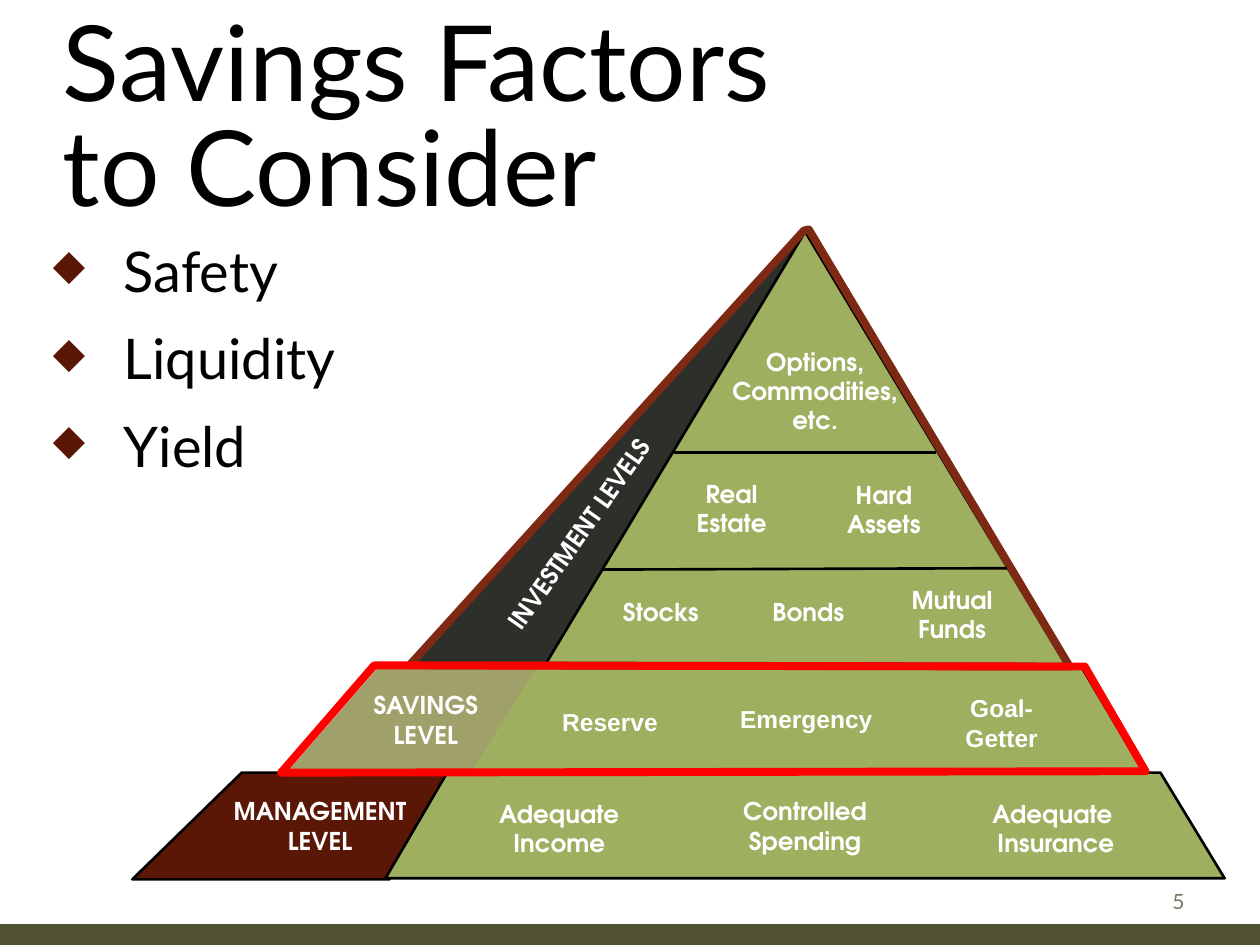
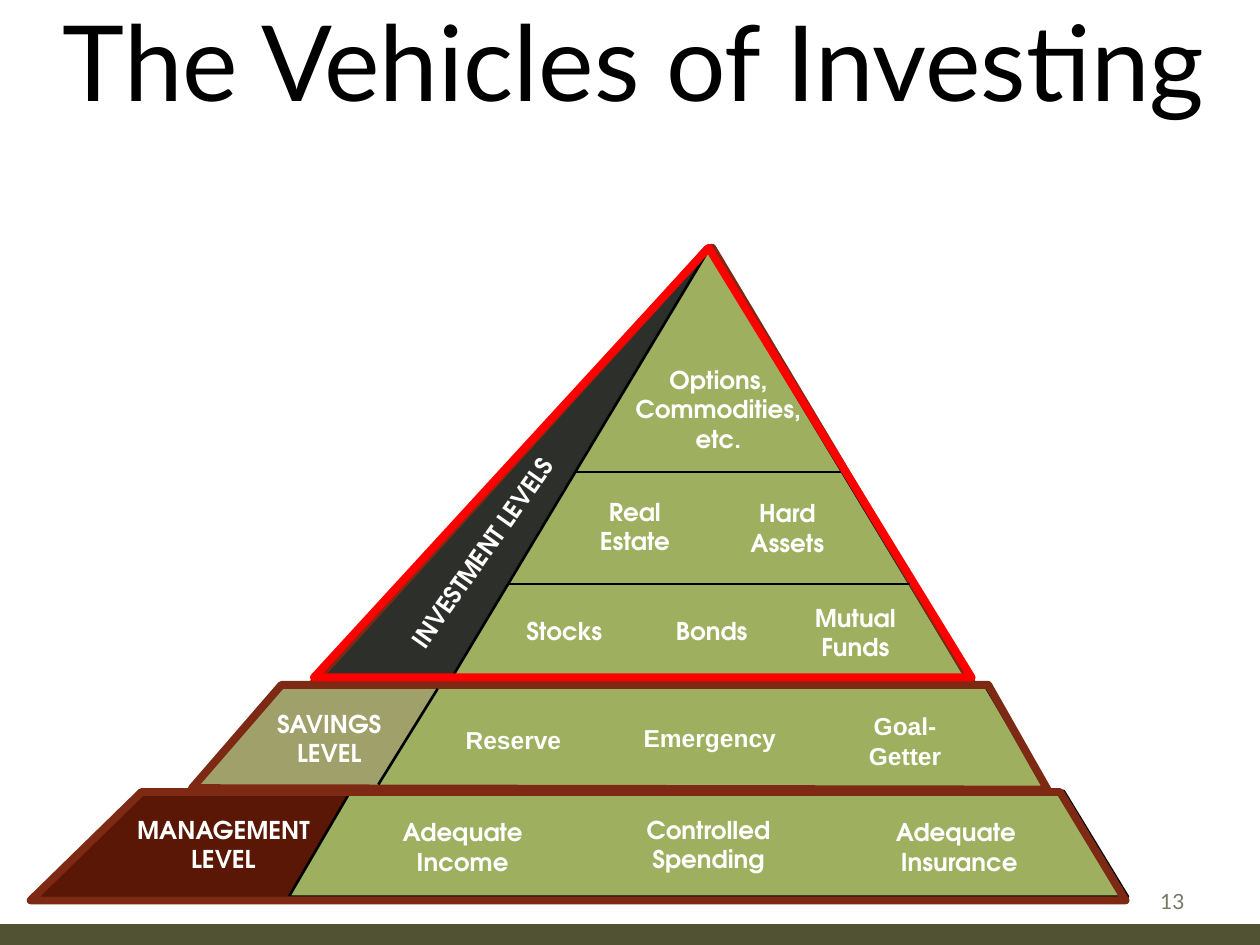
import pptx
import pptx.dml.color
import pptx.enum.shapes
import pptx.enum.text
import pptx.oxml.ns
import pptx.util
from lxml import etree

Pt = pptx.util.Pt
RGBColor = pptx.dml.color.RGBColor
Align = pptx.enum.text.PP_ALIGN

BLACK = RGBColor(0x00, 0x00, 0x00)
WHITE = RGBColor(0xFF, 0xFF, 0xFF)
RED = RGBColor(0xFF, 0x00, 0x00)
RUST = RGBColor(0x7E, 0x29, 0x13)
MAROON = RGBColor(0x5A, 0x17, 0x05)
CHARCOAL = RGBColor(0x2D, 0x2F, 0x2B)
LEAF = RGBColor(0x9E, 0xB0, 0x60)
KHAKI = RGBColor(0xA0, 0xA1, 0x6A)
OLIVE = RGBColor(0x51, 0x52, 0x34)
GREY_GREEN = RGBColor(0x78, 0x78, 0x63)

BODY_FONT = "Lato"
LEVEL_FONT = "TeX Gyre Adventor"
SAVINGS_FONT = "Arial"

SLIDE_WIDTH, SLIDE_HEIGHT = 720, 540
TITLE_BOX = (36, 10, 684, 111.6)
FACTORS_BOX = (30.2, 135.4, 659.5, 346.3)
NUMBER_BOX = (516.2, 500.4, 167.8, 28.8)
BAND_Y, BAND_WIDTH = 534.2, 12
HIGHLIGHT_WIDTH = 4.5
LABEL_SIZE, LABEL_LINE, LABEL_INSETS = 14, 17, 7.2

# All pyramid coordinates are points from its left edge and its apex height.
MANAGEMENT_FACE = [(62.6, 309), (183.6, 309), (147, 370), (0, 370)]
FRONT_FACE = [(144.7, 369.4), (180, 309), (190, 309), (226.8, 248.4),
              (235.4, 248.4), (384.5, 0), (534.2, 248.4), (542.2, 248.4),
              (578.2, 309), (587.5, 309), (624.2, 369.4)]
SAVINGS_FACE = [(140.4, 249), (231, 249), (193, 309.6), (87.8, 309.6)]
INVESTMENT_FACE = [(226, 0), (229, 0), (81.4, 249), (0, 249)]
INVESTMENT_OUTLINE = [(158.4, 247.7), (535.7, 248.4), (386.6, -1.4), (383.8, -0.7)]

# Label width -> (text, centre, top, font)
LABELS = {
    119.5: [
        ("Options, Commodities, etc.", 390.2, 62, LEVEL_FONT),
        ("Controlled Spending", 384.5, 319, LEVEL_FONT),
        ("Adequate\nIncome", 244, 320.4, LEVEL_FONT),
        ("Adequate \nInsurance", 527.8, 320.4, LEVEL_FONT),
        ("Goal-\nGetter", 496.8, 260, SAVINGS_FONT),
        ("Emergency", 385.2, 266.4, SAVINGS_FONT),
        ("Reserve", 273, 267.8, SAVINGS_FONT),
        ("SAVINGS\nLEVEL", 167.8, 258.5, LEVEL_FONT),
        ("MANAGEMENT\nLEVEL", 107.3, 319, LEVEL_FONT),
    ],
    97.2: [
        ("Stocks", 302, 205.2, LEVEL_FONT),
        ("Bonds", 386.3, 205.2, LEVEL_FONT),
        ("Mutual\nFunds", 468.4, 198, LEVEL_FONT),
        ("Real\nEstate", 342.4, 137.5, LEVEL_FONT),
        ("Hard\nAssets", 429.5, 138.2, LEVEL_FONT),
    ],
}


def add_text_frame(slide, box, inset=True):
    textbox = slide.shapes.add_textbox(*(Pt(v) for v in box))
    frame = textbox.text_frame
    frame.word_wrap = True
    if not inset:
        frame.margin_left = frame.margin_top = 0
        frame.margin_right = frame.margin_bottom = 0
    return textbox, frame


def add_run(paragraph, text, size, font, color, bold=False):
    run = paragraph.add_run()
    run.text = text
    run.font.size = Pt(size)
    run.font.name = font
    run.font.color.rgb = color
    run.font.bold = bold


def add_line(slide, start, end, color=BLACK, width=1.5):
    line = slide.shapes.add_connector(
        pptx.enum.shapes.MSO_CONNECTOR.STRAIGHT,
        *(Pt(v) for v in (*start, *end)))
    line.line.color.rgb = color
    line.line.width = Pt(width)
    etree.SubElement(line._element.spPr, pptx.oxml.ns.qn("a:effectLst"))


def style_shape(shape, fill, line, width):
    shape.shadow.inherit = False
    if fill is None:
        shape.fill.background()
    else:
        shape.fill.solid()
        shape.fill.fore_color.rgb = fill
    if line is None:
        shape.line.fill.background()
    else:
        shape.line.color.rgb = line
        shape.line.width = Pt(width)


def add_polygon(slide, origin, points, fill=None, line=None, width=1.5):
    start, *rest = [(Pt(x), Pt(y)) for x, y in points]
    builder = slide.shapes.build_freeform(*start)
    builder.add_line_segments(rest, close=True)
    polygon = builder.convert_to_shape(*(Pt(v) for v in origin))
    style_shape(polygon, fill, line, width)


def add_highlight(slide, origin, points, color):
    add_polygon(slide, origin, points, line=color, width=HIGHLIGHT_WIDTH)


def add_label(slide, box, text, font, rotation=0):
    label, frame = add_text_frame(slide, box)
    label.rotation = rotation
    frame.auto_size = pptx.enum.text.MSO_AUTO_SIZE.SHAPE_TO_FIT_TEXT
    for index, part in enumerate(text.split("\n")):
        paragraph = frame.add_paragraph() if index else frame.paragraphs[0]
        paragraph.alignment = Align.CENTER
        add_run(paragraph, part, LABEL_SIZE, font, WHITE, bold=True)


def add_pyramid(slide, origin, investment_corner):
    """Faces, labels and the investment outline; investment_corner places the dark face."""
    left, top = origin
    dark_x, dark_y = investment_corner
    dark_face = [(x + dark_x, y + dark_y) for x, y in INVESTMENT_FACE]
    add_polygon(slide, origin, dark_face, CHARCOAL)
    add_polygon(slide, origin, MANAGEMENT_FACE, MAROON, BLACK)
    add_polygon(slide, origin, FRONT_FACE, LEAF, BLACK)
    add_polygon(slide, origin, SAVINGS_FACE, KHAKI)
    for width, labels in LABELS.items():
        for text, centre, label_top, font in labels:
            height = LABEL_INSETS + LABEL_LINE * len(text.split())
            add_label(slide, (left + centre - width / 2, top + label_top, width, height),
                      text, font)
    add_label(slide, (left + 164.9, top + 160.6, 180.7, LABEL_INSETS + LABEL_LINE),
              "INVESTMENT LEVELS", LEVEL_FONT, rotation=305.2)
    add_highlight(slide, origin, INVESTMENT_OUTLINE, RUST)


def add_divider(slide, origin, start, end, width=1.5):
    left, top = origin
    add_line(slide, (left + start[0], top + start[1]),
             (left + end[0], top + end[1]), width=width)


def add_base(deck, title_lines, number):
    """A blank slide with the shared band, title and page number."""
    slide = deck.slides.add_slide(deck.slide_layouts[6])
    add_line(slide, (0, BAND_Y), (SLIDE_WIDTH, BAND_Y), OLIVE, BAND_WIDTH)

    _, title = add_text_frame(slide, TITLE_BOX, inset=False)
    heading = title.paragraphs[0]
    heading.line_spacing = Pt(60)
    for index, line in enumerate(title_lines):
        if index:
            heading.add_line_break()
        add_run(heading, line, 60, BODY_FONT, BLACK)

    _, page = add_text_frame(slide, NUMBER_BOX)
    page.vertical_anchor = pptx.enum.text.MSO_ANCHOR.MIDDLE
    page.paragraphs[0].alignment = Align.RIGHT
    add_run(page.paragraphs[0], number, 12, BODY_FONT, GREY_GREEN)
    return slide


def add_diamond_bullet(paragraph, indent):
    properties = paragraph._p.get_or_add_pPr()
    properties.set("marL", str(Pt(indent)))
    properties.set("indent", str(-Pt(indent)))
    qn = pptx.oxml.ns.qn
    color = etree.SubElement(properties, qn("a:buClr"))
    etree.SubElement(color, qn("a:srgbClr"), val=str(MAROON))
    etree.SubElement(properties, qn("a:buSzPct"), val="75000")
    etree.SubElement(properties, qn("a:buChar"), char="◆")


def add_factors(slide, box, factors):
    _, frame = add_text_frame(slide, box, inset=False)
    for index, factor in enumerate(factors):
        paragraph = frame.add_paragraph() if index else frame.paragraphs[0]
        add_diamond_bullet(paragraph, 40.5)
        paragraph.line_spacing = Pt(38)
        paragraph.space_after = Pt(12)
        add_run(paragraph, factor, 32, BODY_FONT, BLACK)


def build_savings_slide(deck):
    slide = add_base(deck, ["Savings Factors", "to Consider"], "5")
    add_factors(slide, FACTORS_BOX, ["Safety", "Liquidity", "Yield"])
    origin = (75.6, 132.5)
    add_pyramid(slide, origin, investment_corner=(151.2, 6.5))
    add_highlight(slide, origin,
                  [(85, 309), (138.2, 247.7), (544.3, 248.4), (579, 308.2)], RED)
    add_divider(slide, origin, (267.8, 193), (499.7, 192.2))
    add_divider(slide, origin, (309.6, 126), (459.4, 126), width=2)


def build_investing_slide(deck):
    slide = add_base(deck, ["The Vehicles of Investing"], "13")
    origin = left, top = (20.4, 143)
    add_pyramid(slide, origin, investment_corner=(157, -0.7))
    add_highlight(slide, origin,
                  [(-2.9, 371.5), (622.8, 371.5), (585.4, 309.6), (60.5, 309.6)], RUST)
    add_highlight(slide, origin,
                  [(89.3, 307.4), (578.2, 308.2), (544.3, 248.4), (140.4, 248.4)], RUST)
    investment_frame = slide.shapes.add_shape(
        pptx.enum.shapes.MSO_SHAPE.ISOSCELES_TRIANGLE,
        Pt(left + 159), Pt(top - 1.4), Pt(375.8), Pt(245.5))
    investment_frame.adjustments[0] = 0.6
    style_shape(investment_frame, None, RED, HIGHLIGHT_WIDTH)
    add_divider(slide, origin, (229.7, 250.6), (195.8, 305.3))
    add_divider(slide, origin, (308.2, 126.7), (460, 126.7))
    add_divider(slide, origin, (270, 190.8), (499.7, 190.8))


def main():
    deck = pptx.Presentation()
    deck.slide_width, deck.slide_height = Pt(SLIDE_WIDTH), Pt(SLIDE_HEIGHT)
    build_savings_slide(deck)
    build_investing_slide(deck)
    deck.save("out.pptx")


if __name__ == "__main__":
    main()
